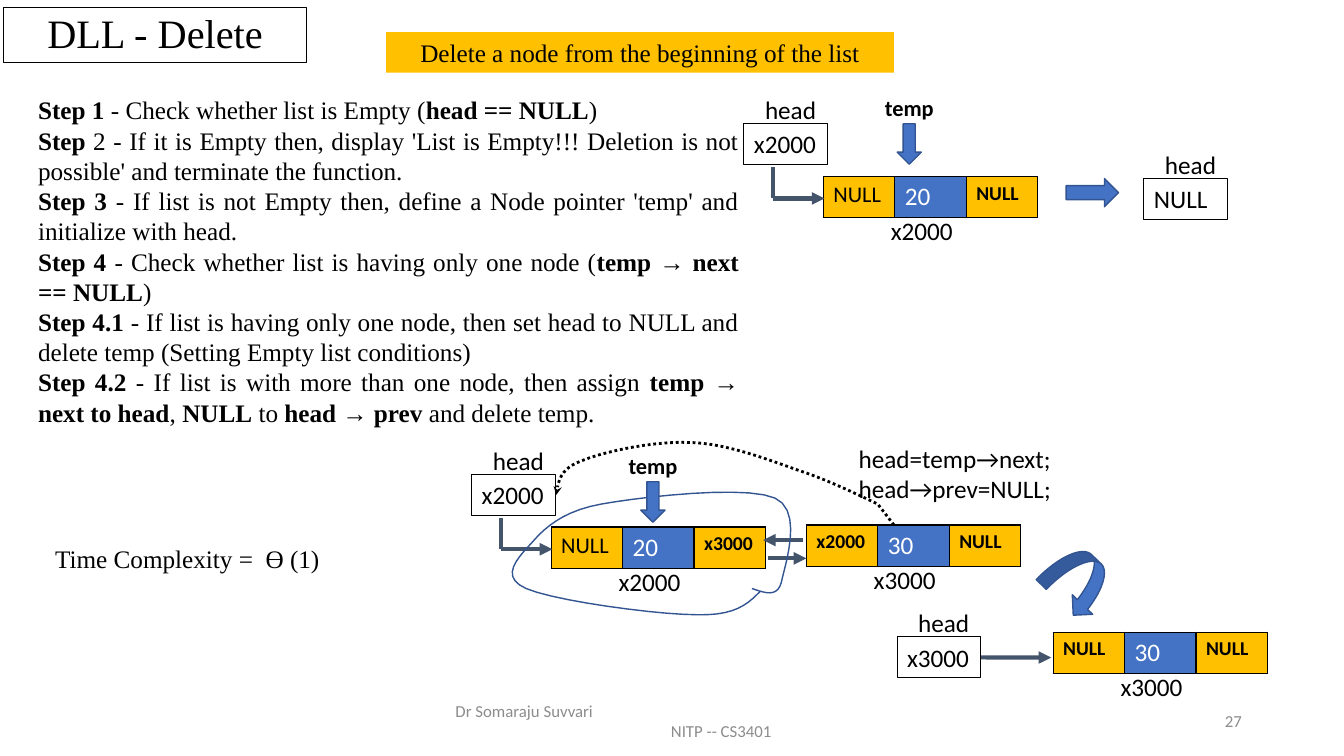
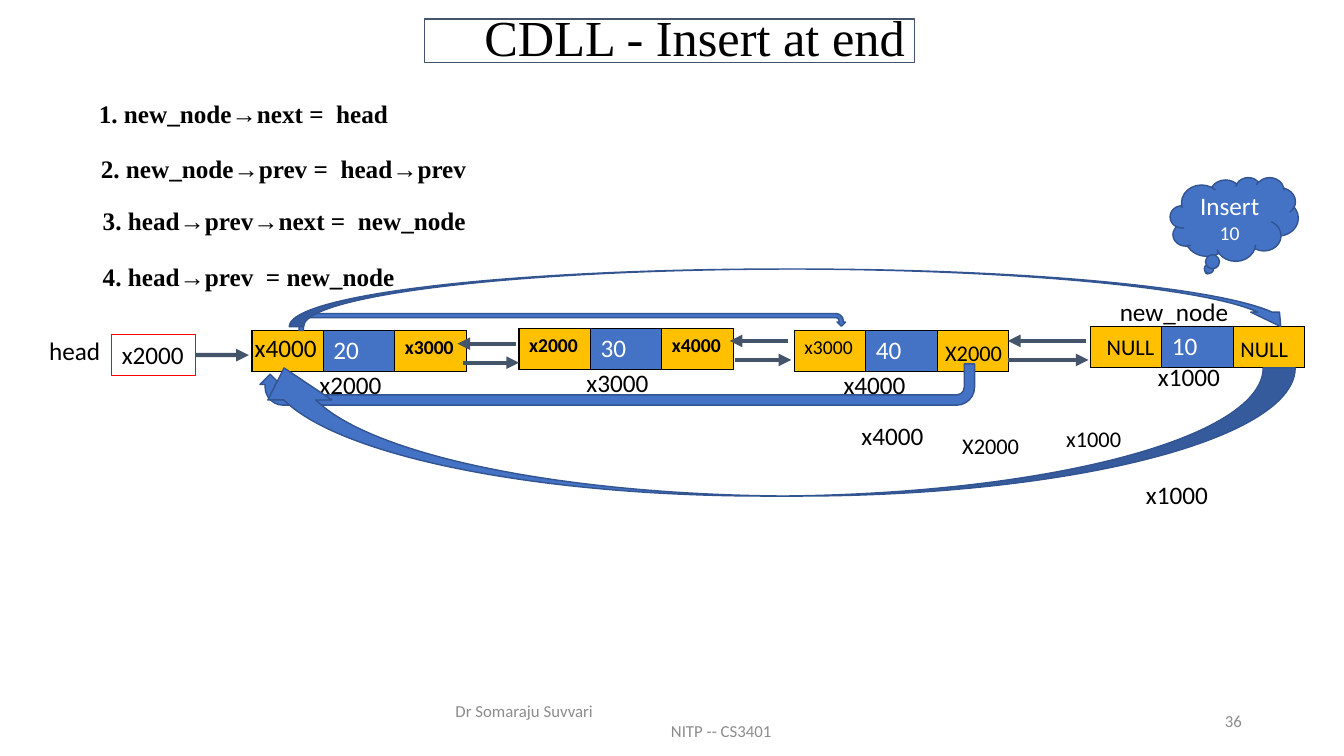
"""Build two lecture slides on deleting from and inserting into doubly linked lists."""
from dataclasses import dataclass, replace
from typing import Any, Optional

import pptx
import pptx.dml.color
import pptx.enum.dml
import pptx.enum.shapes
import pptx.enum.text
import pptx.oxml
import pptx.oxml.ns
import pptx.util

Cm, Pt = pptx.util.Cm, pptx.util.Pt
RGB = pptx.dml.color.RGBColor
SHAPE = pptx.enum.shapes.MSO_SHAPE
ALIGN = pptx.enum.text.PP_ALIGN
ANCHOR = pptx.enum.text.MSO_ANCHOR
Point = tuple[float, float]


@dataclass(frozen=True)
class Theme:
    black: str = "000000"
    white: str = "FFFFFF"
    gold: str = "FFC000"
    blue: str = "4472C4"
    outline: str = "325491"
    slate: str = "44546A"
    red: str = "FF0000"
    grey: str = "8C8C8C"
    sans: str = "Calibri"
    serif: str = "Times New Roman"
    body: float = 18
    note: float = 16
    small: float = 14
    footer: float = 12


T = Theme()


@dataclass(frozen=True)
class Style:
    size: float = T.body
    bold: bool = False
    font: str = T.sans
    color: str = T.black
    align: Any = ALIGN.LEFT


PLAIN = Style()
NOTE = Style(T.note)
SMALL = Style(T.small)
SMALL_BOLD = Style(T.small, True)
DATA = Style(color=T.white)
SERIF = Style(font=T.serif)
SERIF_BOLD = Style(font=T.serif, bold=True)
FOOTER = Style(T.footer, color=T.grey)


@dataclass(frozen=True)
class Label:
    x: float
    y: float
    w: float
    text: str
    style: Style = PLAIN


@dataclass(frozen=True)
class Node:
    x: float
    y: float
    prev: tuple[str, Style]
    data: str
    next: tuple[str, Style]
    address: str
    dx: float = 1.45
    dy: float = 0.86


@dataclass(frozen=True)
class Head:
    x: float
    y: float
    text: str
    dx: float = 0.28
    dy: float = -0.86
    line: str = T.black


@dataclass(frozen=True)
class Link:
    x1: float
    x2: float
    y: float


@dataclass(frozen=True)
class Block:
    kind: Any
    x: float
    y: float
    w: float
    h: float
    rotation: float = 0


def style_paragraph(p: Any, style: Style) -> None:
    p.alignment = style.align
    p.font.size, p.font.bold, p.font.name = Pt(style.size), style.bold, style.font
    p.font.color.rgb = RGB.from_string(style.color)


def write(tf: Any, lines: list[str], style: Style, anchor: Any = ANCHOR.TOP) -> None:
    tf.word_wrap, tf.vertical_anchor = True, anchor
    for i, line in enumerate(lines):
        p = tf.paragraphs[0] if i == 0 else tf.add_paragraph()
        p.add_run().text = line
        style_paragraph(p, style)


def text(s: Any, x: float, y: float, w: float, h: float, lines: list[str],
         style: Style, anchor: Any = ANCHOR.TOP) -> Any:
    tf = s.shapes.add_textbox(Cm(x), Cm(y), Cm(w), Cm(h)).text_frame
    write(tf, lines, style, anchor)
    return tf


def draw_label(s: Any, label: Label) -> None:
    text(s, label.x, label.y, label.w, 1.03, [label.text], label.style)


def draw_block(s: Any, b: Block, fill: Optional[str] = T.blue,
               line: Optional[str] = T.outline, width: float = 1) -> Any:
    sp = s.shapes.add_shape(b.kind, Cm(b.x), Cm(b.y), Cm(b.w), Cm(b.h))
    sp.shadow.inherit, sp.rotation = False, b.rotation
    if fill:
        sp.fill.solid()
        sp.fill.fore_color.rgb = RGB.from_string(fill)
    else:
        sp.fill.background()
    if line:
        sp.line.color.rgb, sp.line.width = RGB.from_string(line), Pt(width)
    else:
        sp.line.fill.background()
    return sp


def draw_title(s: Any, b: Block, title: str, style: Style, line: str) -> None:
    tf = draw_block(s, b, None, line, 0.75).text_frame
    write(tf, [title], style, ANCHOR.MIDDLE)
    tf.paragraphs[0].line_spacing = 0.9


def draw_footer(s: Any, number: int) -> None:
    tf = text(s, 11.23, 17.65, 11.43, 1.02, ["Dr Somaraju Suvvari", "NITP -- CS3401"],
              FOOTER, ANCHOR.MIDDLE)
    tf.paragraphs[1]._p.get_or_add_pPr().set("marL", str(Cm(5.43)))
    text(s, 23.93, 17.65, 7.62, 1.02, [str(number)],
         replace(FOOTER, align=ALIGN.RIGHT), ANCHOR.MIDDLE)


def draw_node(s: Any, n: Node) -> None:
    table = s.shapes.add_table(1, 3, Cm(n.x), Cm(n.y), Cm(5.4), Cm(1.04)).table
    table.first_row = table.horz_banding = False
    fields = [(*n.prev, T.gold), (n.data, DATA, T.blue), (*n.next, T.gold)]
    for i, (value, style, fill) in enumerate(fields):
        table.columns[i].width = Cm(1.8)
        cell = table.cell(0, i)
        for side in "LRTB":
            cell._tc.get_or_add_tcPr().append(pptx.oxml.parse_xml(
                f'<a:ln{side} {pptx.oxml.ns.nsdecls("a")} w="12700"><a:solidFill>'
                f'<a:srgbClr val="{T.black}"/></a:solidFill></a:ln{side}>'))
        cell.fill.solid()
        cell.fill.fore_color.rgb = RGB.from_string(fill)
        p = cell.text_frame.paragraphs[0]
        if value:
            p.add_run().text = value
        style_paragraph(p, style)
    draw_label(s, Label(n.x + n.dx, n.y + n.dy, 2.29, n.address))


def draw_head(s: Any, h: Head) -> Any:
    sp = draw_block(s, Block(SHAPE.RECTANGLE, h.x, h.y, 2.11, 1.03), None, h.line, 0.75)
    write(sp.text_frame, [h.text], PLAIN)
    draw_label(s, Label(h.x + h.dx, h.y + h.dy, 2.11, "head"))
    return sp


def add_tail(line: Any, kind: str) -> None:
    line._get_or_add_ln().append(pptx.oxml.parse_xml(
        f'<a:tailEnd {pptx.oxml.ns.nsdecls("a")} type="{kind}"/>'))


def draw_line(s: Any, start: Point, end: Point, arrow: bool = True) -> Any:
    c = s.shapes.add_connector(pptx.enum.shapes.MSO_CONNECTOR.STRAIGHT,
                               *(Cm(v) for v in start + end))
    c.line.color.rgb, c.line.width = RGB.from_string(T.slate), Pt(3)
    if arrow:
        add_tail(c.line, "triangle")
    c._element.spPr.append(pptx.oxml.parse_xml(
        f'<a:effectLst {pptx.oxml.ns.nsdecls("a")}/>'))
    return c


def draw_elbow(s: Any, h: Head) -> None:
    corner = (h.x + 0.74, h.y + 1.88)
    draw_line(s, corner, (h.x + 2.03, h.y + 1.88))
    draw_line(s, corner, (h.x + 0.74, h.y + 1.09), arrow=False)


def draw_temp(s: Any, x: float, y: float) -> None:
    draw_block(s, Block(SHAPE.DOWN_ARROW, x, y, 0.61, 1.02))
    draw_label(s, Label(x - 0.56, y - 0.86, 1.93, "temp", Style(T.note, True)))


def draw_curve(s: Any, points: list[Point], color: str, width: float) -> Any:
    steps, path_points = 10, []
    for k in range(0, len(points) - 1, 3):
        for t in (i / steps for i in range(1, steps + 1)):
            weights = ((1 - t) ** 3, 3 * t * (1 - t) ** 2, 3 * t * t * (1 - t), t ** 3)
            path_points.append(tuple(
                Cm(sum(w * pt[axis] for w, pt in zip(weights, points[k:k + 4])))
                for axis in (0, 1)))
    builder = s.shapes.build_freeform(Cm(points[0][0]), Cm(points[0][1]))
    builder.add_line_segments(path_points, close=False)
    sp = builder.convert_to_shape()
    sp.shadow.inherit = False
    sp.fill.background()
    sp.line.color.rgb, sp.line.width = RGB.from_string(color), Pt(width)
    return sp


STEPS = [
    "Step 1 |- Check whether list is Empty (|head == NULL|)",
    "Step| 2 - If it is Empty then, display 'List is Empty!!! Deletion is not possible' "
    "and terminate the function.",
    "Step 3 |- If list is not Empty then, define a Node pointer 'temp' and initialize with head.",
    "Step 4 |- Check whether list is having only one node (|temp → next == NULL|)",
    "Step 4.1 |- If list is having only one node, then set head to NULL and delete temp "
    "(Setting Empty list conditions)",
    "Step 4.2 |- If list is with more than one node, then assign |temp → next to head|, "
    "|NULL| to |head → prev| and delete temp.",
]
BALLOON = [
    (18.95, 14.83), (19.28, 14.94), (19.58, 15.06), (19.69, 14.68), (19.76, 14.3),
    (20.27, 12.88), (19.53, 12.55), (18.77, 12.22), (16.18, 12.52), (15.16, 12.7),
    (14.15, 12.88), (13.69, 13.34), (13.39, 13.69), (13.06, 14.05), (12.57, 14.53),
    (13.26, 14.83), (13.97, 15.14), (16.56, 15.49), (17.55, 15.49), (18.54, 15.52),
    (18.85, 15.21), (19.15, 14.91)]
NEW_HEAD_LINK = [
    (22.53, 13.23), (22.39, 13.05), (22.26, 12.88), (22.12, 12.7), (21.79, 12.55),
    (20.88, 12.09), (20.09, 11.84), (19.3, 11.56), (18.31, 11.18), (17.42, 11.15),
    (16.51, 11.1), (15.21, 11.38), (14.66, 11.61), (14.1, 11.81), (14.07, 12.14),
    (14.02, 12.47)]


def delete_slide(s: Any) -> None:
    centred = replace(SERIF, align=ALIGN.CENTER)
    draw_title(s, Block(SHAPE.RECTANGLE, 0.1, 0.2, 7.62, 1.37), "DLL - Delete",
               replace(centred, size=28.8), T.black)
    banner = draw_block(s, Block(SHAPE.RECTANGLE, 9.73, 0.81, 12.8, 1.02), T.gold, None)
    write(banner.text_frame, ["Delete a node from the beginning of the list"], centred)
    tf = text(s, 0.71, 2.26, 18.16, 8.71, [""] * len(STEPS),
              replace(SERIF, align=ALIGN.JUSTIFY))
    for p, step in zip(tf.paragraphs, STEPS):
        for i, part in enumerate(step.split("|")):
            r = p.runs[0] if i == 0 else p.add_run()
            r.text, r.font.bold = part, i % 2 == 0
    null = ("NULL", SMALL_BOLD)
    for n in (Node(20.75, 4.45, ("NULL", NOTE), "20", null, "x2000"),
              Node(13.89, 13.28, ("NULL", NOTE), "20", ("x3000", SMALL_BOLD), "x2000"),
              Node(20.32, 13.23, ("x2000", SMALL_BOLD), "30", null, "x3000"),
              Node(26.54, 15.93, null, "30", null, "x3000")):
        draw_node(s, n)
    for h in (Head(18.75, 3.12, "x2000"), Head(11.89, 11.96, "x2000")):
        draw_head(s, h)
        draw_elbow(s, h)
    draw_head(s, Head(28.83, 4.5, "NULL"))
    last = draw_head(s, Head(22.61, 16.05, "x3000"))
    draw_line(s, (24.72, 16.57), (26.49, 16.57)).begin_connect(last, 3)
    for k in (Link(19.35, 20.32, 14.07), Link(20.24, 19.23, 13.61)):
        draw_line(s, (k.x1, k.y), (k.x2, k.y))
    draw_curve(s, BALLOON, T.outline, 1)
    draw_temp(s, 22.61, 3.12)
    draw_temp(s, 16.15, 12.14)
    text(s, 21.39, 11.05, 5.99, 1.8, ["head=temp→next;", "head→prev=NULL;"], PLAIN)
    dotted = draw_curve(s, NEW_HEAD_LINK, T.black, 2)
    dotted.line.dash_style = pptx.enum.dml.MSO_LINE.ROUND_DOT
    add_tail(dotted.line, "stealth")
    draw_block(s, Block(SHAPE.RIGHT_ARROW, 26.87, 4.5, 1.32, 0.71))
    draw_block(s, Block(SHAPE.CURVED_LEFT_ARROW, 26.49, 13.84, 1.42, 1.65, 313.8))
    draw_label(s, Label(1.14, 13.56, 7.59, "Time Complexity =  Ɵ (1)", SERIF))
    draw_footer(s, 27)


def insert_slide(s: Any) -> None:
    draw_title(s, Block(SHAPE.RECTANGLE, 10.69, 0.48, 12.37, 1.09), "CDLL - Insert at end",
               replace(SERIF, size=36, align=ALIGN.RIGHT), T.slate)
    head = draw_head(s, Head(2.82, 8.43, "x2000", -1.83, -0.1, T.red))
    draw_line(s, (4.93, 8.95), (6.27, 8.95)).begin_connect(head, 3)
    empty = ("", PLAIN)
    for n in (Node(6.35, 8.33, empty, "20", ("x3000", SMALL_BOLD), "x2000"),
              Node(13.08, 8.28, ("x2000", SMALL_BOLD), "30", ("x4000", SMALL_BOLD), "x3000"),
              Node(20.02, 8.33, ("x3000", SMALL), "40", empty, "x4000", dx=0.99),
              Node(27.48, 8.23, empty, "10", empty, "x1000", dy=0.74)):
        draw_node(s, n)
    for k in (Link(11.66, 13.08, 9.14), Link(13, 11.53, 8.66),
              Link(18.52, 19.94, 9.07), Link(19.86, 18.39, 8.59),
              Link(25.4, 27.43, 9.07), Link(27.36, 25.4, 8.59)):
        draw_line(s, (k.x1, k.y), (k.x2, k.y))
    for label in (Label(2.24, 2.36, 16.94, "1. new_node→next =  head", SERIF_BOLD),
                  Label(2.29, 3.73, 10.06, "2. new_node→prev =  head→prev", SERIF_BOLD),
                  Label(2.34, 5.05, 10.06, "3. head→prev→next =  new_node", SERIF_BOLD),
                  Label(2.34, 6.45, 8.66, "4. head→prev  = new_node", SERIF_BOLD),
                  Label(27.97, 7.34, 3.78, "new_node"),
                  Label(6.17, 8.26, 2.29, "x4000"),
                  Label(23.57, 8.43, 2.01, "X2000", NOTE),
                  Label(27.64, 8.28, 2.01, "NULL", NOTE),
                  Label(31.01, 8.33, 2.01, "NULL", NOTE),
                  Label(21.46, 10.46, 2.29, "x4000"),
                  Label(24, 10.77, 2.01, "X2000", NOTE),
                  Label(26.62, 10.59, 2.01, "x1000", NOTE),
                  Label(28.63, 11.96, 2.29, "x1000")):
        draw_label(s, label)
    for b in (Block(SHAPE.U_TURN_ARROW, 7.54, 7.9, 13.77, 0.43),
              Block(SHAPE.U_TURN_ARROW, 6.55, 9.17, 18.01, 1.04, 180),
              Block(SHAPE.CURVED_DOWN_ARROW, 6.35, 9.27, 26.29, 3.23, 180),
              Block(SHAPE.CURVED_DOWN_ARROW, 7.29, 6.78, 25.35, 1.45)):
        draw_block(s, b)
    tf = draw_block(s, Block(SHAPE.CLOUD_CALLOUT, 29.49, 4.47, 3.23, 2.11)).text_frame
    write(tf, ["Insert", "10"], replace(DATA, align=ALIGN.CENTER), ANCHOR.MIDDLE)
    tf.paragraphs[1].font.size = Pt(T.small)
    draw_footer(s, 36)


def main() -> None:
    prs = pptx.Presentation()
    prs.slide_width, prs.slide_height = Cm(33.87), Cm(19.05)
    for build in (delete_slide, insert_slide):
        build(prs.slides.add_slide(prs.slide_layouts[6]))
    prs.save("out.pptx")


if __name__ == "__main__":
    main()
